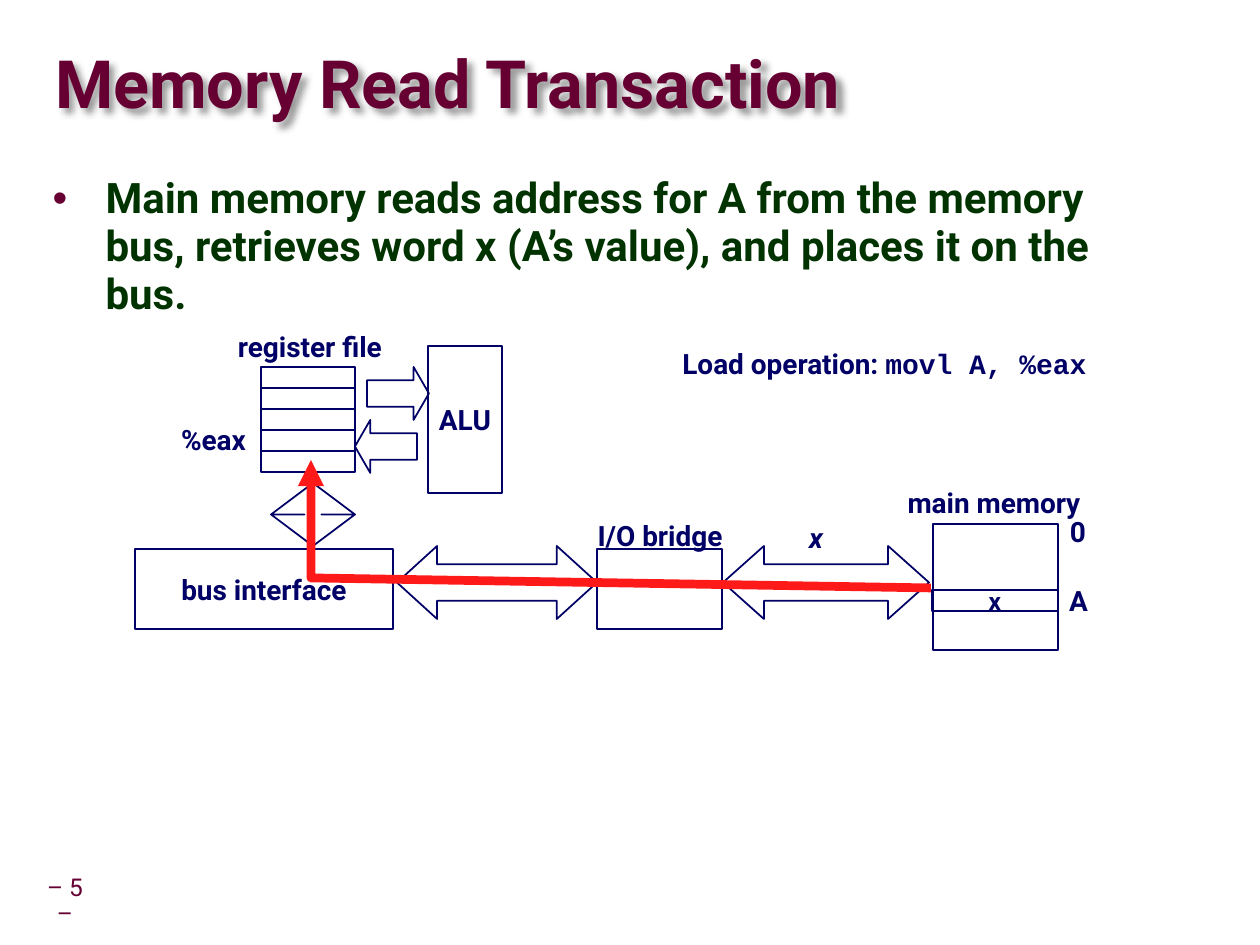
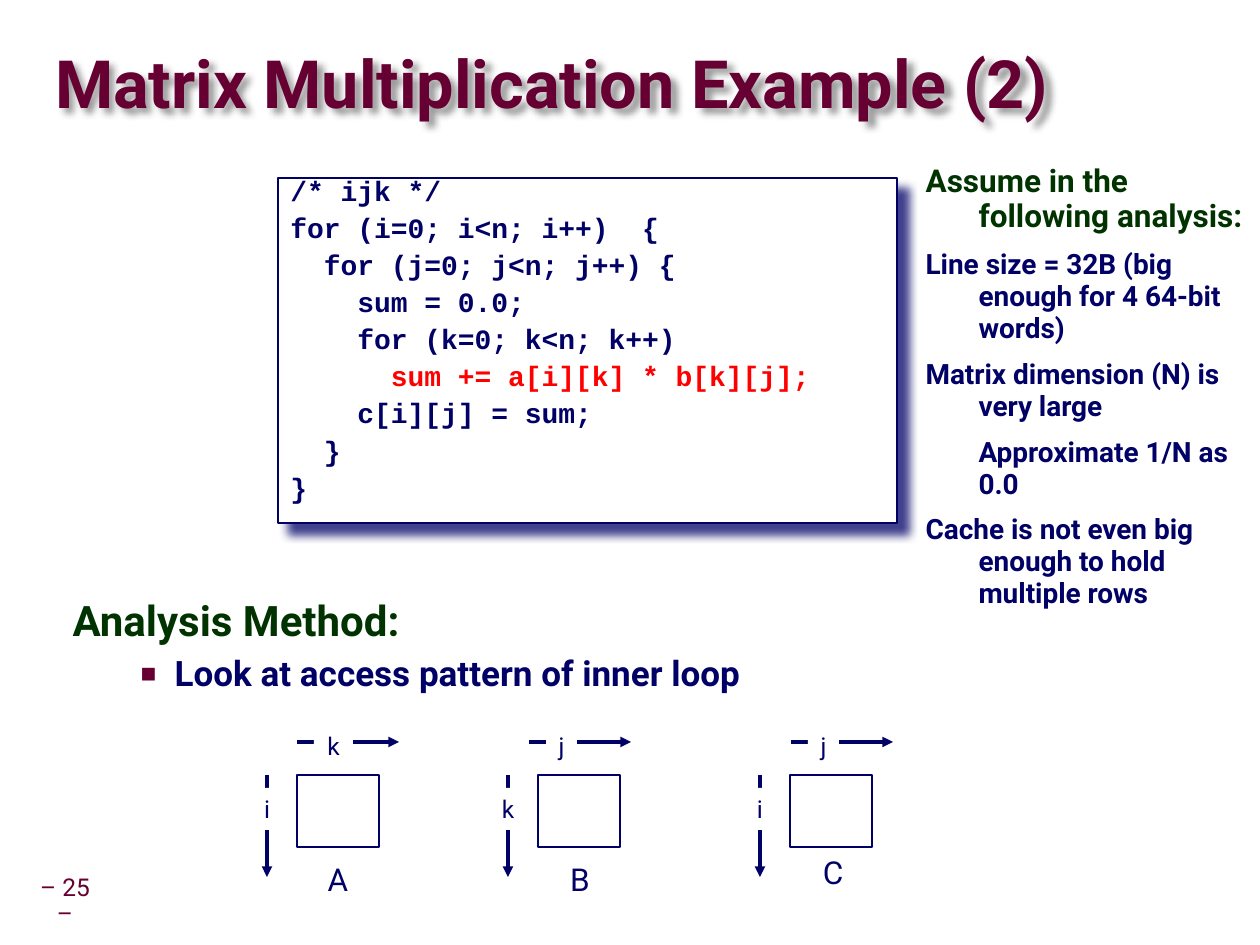
from lxml import etree
from pptx import Presentation
from pptx import util as u
from pptx.dml.color import RGBColor
from pptx.enum import shapes, text
from pptx.oxml.ns import qn

EMU_PER_PX = 914400 / 126
SLIDE_SIZE = (1260, 945)
MAROON = RGBColor(0x66, 0x00, 0x33)
GREEN = RGBColor(0x00, 0x33, 0x00)
NAVY = RGBColor(0x00, 0x00, 0x66)
RED = RGBColor(0xFF, 0x00, 0x00)
ROUTE_RED = RGBColor(0xFF, 0x1A, 0x1A)
BLACK = RGBColor(0x00, 0x00, 0x00)
WHITE = RGBColor(0xFF, 0xFF, 0xFF)
SANS, MONO = "Roboto", "Courier New"
KIND = shapes.MSO_SHAPE

# Boxes are (left, top, width, height) in px.
TITLE_BOX = (55, 34, 1201, 107)
NUMBER_BOX = (30, 882, 70, 39)

# Paragraph styles: size, colour, left margin and first-line indent, spacing.
TITLE = dict(size=38, color=MAROON, bold=True, spacing=0.87)
NUMBER = dict(size=14, color=MAROON, spacing=0.9)
HEADING = dict(size=24, color=GREEN, bold=True, spacing=0.95, margin=53, indent=-53)
DOT_HEADING = dict(HEADING, bullet=("•", 100))
SQUARE_ITEM = dict(size=20, color=NAVY, bold=True, spacing=0.95, margin=102,
                   indent=-34, before=5, level=1, bullet=("■", 75))
SIDE_HEADING = dict(HEADING, size=18)
SIDE_ITEM = dict(HEADING, size=16, color=NAVY, before=8, level=1)
SIDE_SUBITEM = dict(SIDE_ITEM, indent=0)
CODE = dict(size=16, color=NAVY, bold=True, font=MONO, spacing=0.65, before=8.7)
INNER_CODE = dict(CODE, color=RED)
LABEL = dict(size=16, color=NAVY, bold=True)
ITALIC_LABEL = dict(LABEL, italic=True)
CELL_LABEL = dict(LABEL, size=14)
MATRIX_NAME = dict(size=18, color=NAVY)
INDEX_NAME = dict(size=14, color=NAVY)

READ_BODY_BOX = (40, 169, 1145, 719)
READ_BODY = [("Main memory reads address for A from the memory bus, retrieves word x "
              "(A’s value), and places it on the bus.", DOT_HEADING)]
BLOCK_ARROWS = [
    (KIND.LEFT_RIGHT_ARROW, (723, 546, 206, 73), (0.5, 0.56)),
    (KIND.LEFT_RIGHT_ARROW, (397, 546, 200, 73), (0.5, 0.55)),
    (KIND.RIGHT_ARROW, (367, 367, 62, 53), (0.5, 0.29)),
    (KIND.LEFT_ARROW, (355, 420, 62, 53), (0.5, 0.29)),
    (KIND.UP_DOWN_ARROW, (271, 483, 84, 63), (0.5, 0.2)),
]
REGISTER_BOX, REGISTER_COUNT = (261, 367, 94, 21), 5
UNITS = [
    ("ALU", (428, 346, 74, 147), LABEL),
    ("bus interface", (135, 549, 258, 80), LABEL),
    ("", (597, 549, 125, 80), LABEL),
    ("", (933, 524, 125, 126), LABEL),
    ("x", (932, 590, 126, 21), CELL_LABEL),
]
UNIT_LABELS = [
    ("register file", (222, 323, 176, 47), LABEL),
    ("%eax", (165, 416, 97, 47), LABEL),
    ("I/O bridge", (582, 512, 156, 47), LABEL),
    ("x", (796, 514, 40, 47), ITALIC_LABEL),
    ("main memory", (890, 479, 208, 47), LABEL),
    ("0", (1058, 508, 40, 47), LABEL),
    ("A", (1056, 577, 45, 47), LABEL),
]
OPERATION_BOX = (670, 340, 446, 81)
OPERATION = ("Load operation: ", "movl A, %eax")
DATA_ROUTE = [(931, 588), (311, 578), (311, 460)]

CODE_BOX = (278, 178, 619, 345)
CODE_LINES = [
    ("/* ijk */", CODE),
    ("for (i=0; i<n; i++)  {", CODE),
    ("  for (j=0; j<n; j++) {", CODE),
    ("    sum = 0.0;", CODE),
    ("    for (k=0; k<n; k++)", CODE),
    ("      sum += a[i][k] * b[k][j];", INNER_CODE),
    ("    c[i][j] = sum;", CODE),
    ("  }", CODE),
    ("}", CODE),
]
METHOD_BOX = (60, 592, 1145, 300)
METHOD = [("Analysis Method:", HEADING),
          ("Look at access pattern of inner loop", SQUARE_ITEM)]
ASSUMPTIONS_BOX = (913, 157, 347, 588)
ASSUMPTIONS = [
    ("Assume in the following analysis:", SIDE_HEADING),
    ("Line size = 32B (big enough for 4 64-bit words)", SIDE_ITEM),
    ("Matrix dimension (N) is very large", SIDE_ITEM),
    ("Approximate 1/N as 0.0", SIDE_SUBITEM),
    ("Cache is not even big enough to hold multiple rows", SIDE_ITEM),
]
# Name, name box left and top, row index, column index, square left, column axis left.
MATRICES = [
    ("A", 315, 854, "i", "k", 297, 297),
    ("B", 557, 854, "k", "j", 538, 529),
    ("C", 810, 847, "i", "j", 790, 791),
]
INDEX_WIDTH = {"i": 30, "j": 31, "k": 39}
SQUARE_TOP, SQUARE_WIDTH, SQUARE_HEIGHT = 775, 82, 72
AXIS_LENGTH, COLUMN_AXIS_Y = 102, 742


def px(length):
    return u.Emu(round(length * EMU_PER_PX))


def place(shape, box):
    shape.left, shape.top, shape.width, shape.height = map(px, box)


def add_bullet(paragraph, character, percent):
    properties = paragraph._p.get_or_add_pPr()
    color = etree.SubElement(properties, qn("a:buClr"))
    etree.SubElement(color, qn("a:srgbClr"), val=str(MAROON))
    etree.SubElement(properties, qn("a:buSzPct"), val=str(percent * 1000))
    etree.SubElement(properties, qn("a:buFont"), typeface="Arial")
    etree.SubElement(properties, qn("a:buChar"), char=character)


def format_paragraph(paragraph, size, color, bold=False, italic=False, font=SANS,
                     spacing=None, before=0, margin=0, indent=0, level=0, bullet=None):
    paragraph.level = level
    properties = paragraph._p.get_or_add_pPr()
    properties.set("marL", str(px(margin)))
    properties.set("indent", str(px(indent)))
    if bullet:
        add_bullet(paragraph, *bullet)
    else:
        etree.SubElement(properties, qn("a:buNone"))
    paragraph.space_before = u.Pt(before)
    if spacing:
        paragraph.line_spacing = spacing
    for run in paragraph.runs:
        run.font.name, run.font.size = font, u.Pt(size)
        run.font.bold, run.font.italic = bold, italic
        run.font.color.rgb = color


def write(shape, lines, align=text.PP_ALIGN.LEFT, anchor=text.MSO_ANCHOR.TOP, wrap=True):
    """Fill a shape with (text, style) paragraphs."""
    frame = shape.text_frame
    frame.text = "\n".join(line for line, _ in lines)
    frame.auto_size = text.MSO_AUTO_SIZE.NONE
    frame.word_wrap, frame.vertical_anchor = wrap, anchor
    for number, (paragraph, (_, style)) in enumerate(zip(frame.paragraphs, lines)):
        format_paragraph(paragraph, **(style if number else dict(style, before=0)))
        paragraph.alignment = align


def write_centred(shape, line, style):
    write(shape, [(line, style)], text.PP_ALIGN.CENTER, text.MSO_ANCHOR.MIDDLE, False)


def add_label(slide, line, box, style):
    write_centred(slide.shapes.add_textbox(*map(px, box)), line, style)


def add_outlined(slide, kind, box, fill=None, adjustments=()):
    shape = slide.shapes.add_shape(kind, *map(px, box))
    shape.shadow.inherit = False
    if fill:
        shape.fill.solid()
        shape.fill.fore_color.rgb = fill
    else:
        shape.fill.background()
    shape.line.color.rgb, shape.line.width = NAVY, u.Pt(1)
    for number, value in enumerate(adjustments):
        shape.adjustments[number] = value
    return shape


def add_shadow(shape, color, opacity, blur, distance):
    """Cast a soft shadow to the lower right."""
    shape.shadow.inherit = False
    effects = shape._element.spPr.find(qn("a:effectLst"))
    shadow = etree.SubElement(effects, qn("a:outerShdw"), blurRad=str(u.Pt(blur)),
                              dist=str(u.Pt(distance)), dir=str(45 * 60000),
                              algn="ctr", rotWithShape="0")
    tint = etree.SubElement(shadow, qn("a:srgbClr"), val=str(color))
    etree.SubElement(tint, qn("a:alpha"), val=str(opacity * 1000))


def style_arrow(shape, color, width):
    shape.line.color.rgb, shape.line.width = color, u.Pt(width)
    line = shape._element.spPr.find(qn("a:ln"))
    etree.SubElement(line, qn("a:tailEnd"), type="triangle")


def add_axis(slide, start, end):
    axis = slide.shapes.add_connector(shapes.MSO_CONNECTOR.STRAIGHT, *map(px, start + end))
    style_arrow(axis, NAVY, 2)
    etree.SubElement(axis._element.spPr, qn("a:effectLst"))


def add_index(slide, name, left, top):
    box = (left, top, INDEX_WIDTH[name], 42)
    shape = add_outlined(slide, KIND.RECTANGLE, box, WHITE)
    shape.line.fill.background()
    write_centred(shape, name, INDEX_NAME)


def add_slide(presentation, layout, title, number):
    slide = presentation.slides.add_slide(presentation.slide_layouts[layout])
    heading = slide.shapes.title
    place(heading, TITLE_BOX)
    write(heading, [(title, TITLE)], anchor=text.MSO_ANCHOR.MIDDLE)
    frame = heading.text_frame
    frame.margin_left = frame.margin_right = frame.margin_top = frame.margin_bottom = 0
    add_shadow(heading, BLACK, 40, 4, 4)
    page = slide.shapes.add_textbox(*map(px, NUMBER_BOX))
    write(page, [(f"– {number} –", NUMBER)], text.PP_ALIGN.CENTER, text.MSO_ANCHOR.MIDDLE)
    page.text_frame.margin_left = page.text_frame.margin_right = px(6)
    return slide


def fill_placeholder(slide, index, box, lines):
    body = slide.placeholders[index]
    place(body, box)
    write(body, lines)


def add_memory_read(presentation):
    slide = add_slide(presentation, 1, "Memory Read Transaction", 5)
    fill_placeholder(slide, 1, READ_BODY_BOX, READ_BODY)
    for kind, box, adjustments in BLOCK_ARROWS:
        add_outlined(slide, kind, box, adjustments=adjustments)
    left, top, width, height = REGISTER_BOX
    for row in range(REGISTER_COUNT):
        add_outlined(slide, KIND.RECTANGLE, (left, top + row * height, width, height))
    for name, box, style in UNITS:
        unit = add_outlined(slide, KIND.RECTANGLE, box)
        if name:
            write_centred(unit, name, style)
    for name, box, style in UNIT_LABELS:
        add_label(slide, name, box, style)

    operation = slide.shapes.add_textbox(*map(px, OPERATION_BOX))
    caption, instruction = OPERATION
    write(operation, [(caption, LABEL)])
    paragraph = operation.text_frame.paragraphs[0]
    run = paragraph.add_run()
    run.text = instruction
    run.font.name, run.font.size, run.font.bold = MONO, u.Pt(16), True
    run.font.color.rgb = NAVY

    builder = slide.shapes.build_freeform(*DATA_ROUTE[0], scale=EMU_PER_PX)
    builder.add_line_segments(DATA_ROUTE[1:], close=False)
    route = builder.convert_to_shape()
    route.shadow.inherit = False
    route.fill.background()
    style_arrow(route, ROUTE_RED, 5)


def add_matrix(slide, name, name_left, name_top, row, column, left, column_axis):
    square = (left, SQUARE_TOP, SQUARE_WIDTH, SQUARE_HEIGHT)
    add_outlined(slide, KIND.RECTANGLE, square, WHITE)
    add_label(slide, name, (name_left, name_top, 46, 50), MATRIX_NAME)
    add_axis(slide, (column_axis, COLUMN_AXIS_Y), (column_axis + AXIS_LENGTH, COLUMN_AXIS_Y))
    add_index(slide, column, column_axis + 17, COLUMN_AXIS_Y - 17)
    row_axis = left - 30
    add_axis(slide, (row_axis, SQUARE_TOP), (row_axis, SQUARE_TOP + AXIS_LENGTH))
    add_index(slide, row, row_axis - INDEX_WIDTH[row] / 2, SQUARE_TOP + 13)


def add_matrix_example(presentation):
    slide = add_slide(presentation, 3, "Matrix Multiplication Example (2)", 25)
    code = add_outlined(slide, KIND.RECTANGLE, CODE_BOX, WHITE)
    add_shadow(code, NAVY, 75, 5, 8.5)
    write(code, CODE_LINES)
    fill_placeholder(slide, 1, METHOD_BOX, METHOD)
    fill_placeholder(slide, 2, ASSUMPTIONS_BOX, ASSUMPTIONS)
    for matrix in MATRICES:
        add_matrix(slide, *matrix)


def main():
    presentation = Presentation()
    presentation.slide_width, presentation.slide_height = map(px, SLIDE_SIZE)
    add_memory_read(presentation)
    add_matrix_example(presentation)
    presentation.save("out.pptx")


if __name__ == "__main__":
    main()
